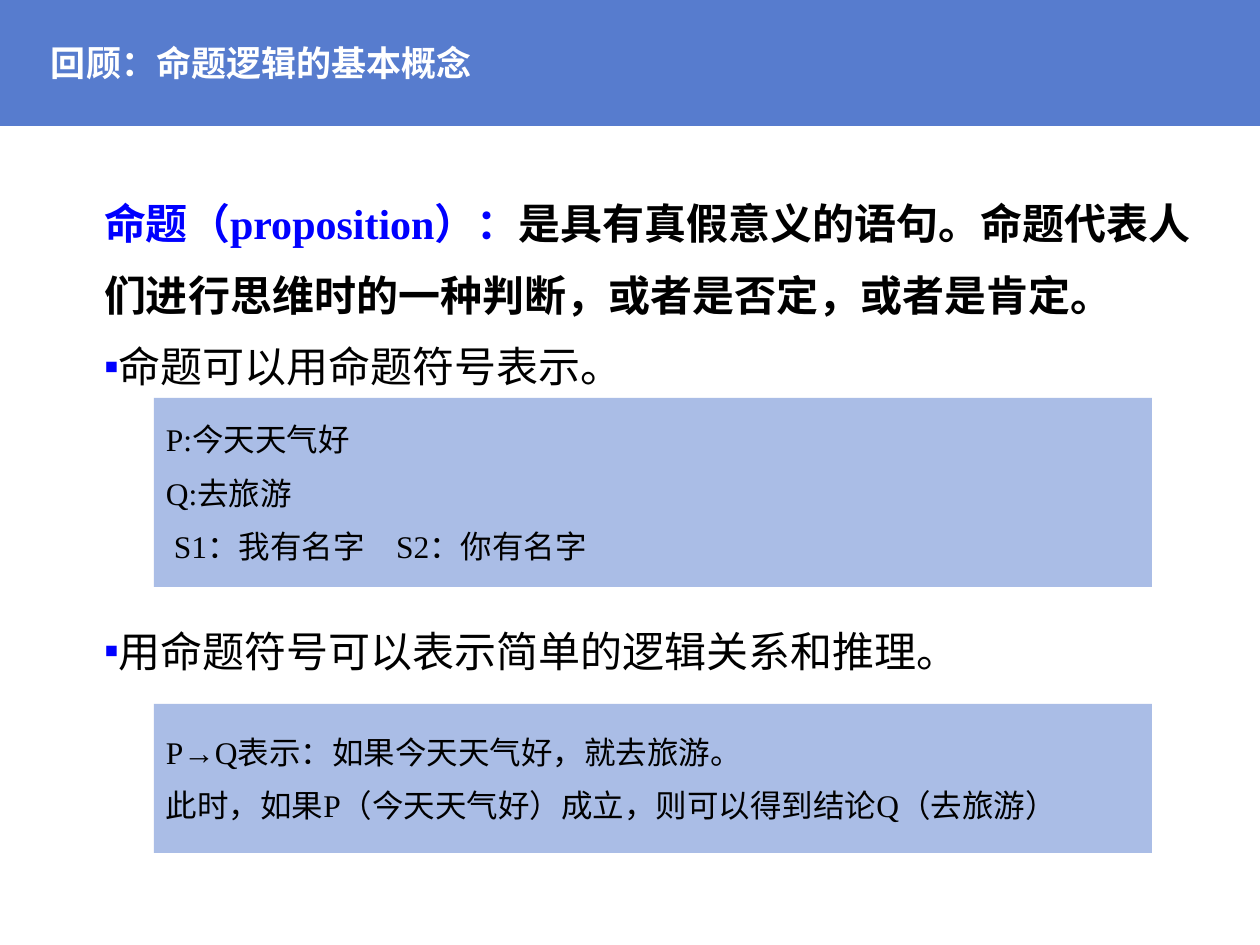
from lxml import etree
from pptx import Presentation, util as u
from pptx.dml.color import RGBColor
from pptx.enum import shapes, text
from pptx.oxml import ns

SANS, SERIF = "Noto Sans CJK SC", "Times New Roman"
BLUE, INK, KEY, WHITE = "577CCE", "000000", "0000FF", "FFFFFF"


def px(n):
    return u.Emu(round(n * 914400 / 126))


def color(code):
    return RGBColor.from_string(code)


def sub(node, tag, **attrs):
    return etree.SubElement(node, ns.qn(tag), attrs)


def rect(slide, box, alpha=None):
    shape = slide.shapes.add_shape(shapes.MSO_SHAPE.RECTANGLE, *map(px, box))
    shape.shadow.inherit = False
    shape.fill.solid()
    shape.fill.fore_color.rgb = color(BLUE)
    shape.line.fill.background()
    if alpha:
        tone = shape._element.spPr.find(".//" + ns.qn("a:srgbClr"))
        sub(tone, "a:alpha", val=str(alpha * 1000))
    return shape


def frame(shape, anchor, side=12):
    body = shape.text_frame
    body.word_wrap = True
    body.vertical_anchor = anchor
    body.margin_left = body.margin_right = px(side)
    body.margin_top = body.margin_bottom = px(6)
    return body


def write(body, runs, size=24, font=SERIF, bold=False, gap=0,
          bullet=None, indent=0):
    first = body.paragraphs[0]
    para = first if not first.runs else body.add_paragraph()
    para.alignment = text.PP_ALIGN.LEFT
    para.space_before = u.Pt(gap)
    props = para._p.get_or_add_pPr()
    props.set("marL", str(px(indent)))
    props.set("indent", "0")
    if bullet:
        sub(sub(props, "a:buClr"), "a:srgbClr", val=KEY)
        sub(props, "a:buFont", typeface=font)
        sub(props, "a:buChar", char=bullet)
    for words, tint in runs:
        run = para.add_run()
        run.text = words
        run.font.size = u.Pt(size)
        run.font.bold = bold
        run.font.name = font
        run.font.color.rgb = color(tint)
        sub(run._r.get_or_add_rPr(), "a:ea", typeface=SANS)


def header(slide, box, title):
    left, top, width, height = box
    rect(slide, box)
    area = left + 46, top + 23, width - 95, height - 47
    label = slide.shapes.add_textbox(*map(px, area))
    body = frame(label, text.MSO_ANCHOR.MIDDLE, side=5)
    write(body, [(title, WHITE)], size=20, font=SANS, bold=True)


def content(slide, box):
    label = slide.shapes.add_textbox(*map(px, box))
    body = frame(label, text.MSO_ANCHOR.TOP)
    write(body, [("命题（proposition）：", KEY),
                 ("是具有真假意义的语句。命题代表人", INK)], bold=True)
    write(body, [("们进行思维时的一种判断，或者是否定，或者是肯定。", INK)],
          bold=True, gap=12)
    for words, gap in (("命题可以用命题符号表示。", 12),
                       ("用命题符号可以表示简单的逻辑关系和推理。", 134)):
        write(body, [(words, INK)], gap=gap, bullet="▪")


def panel(slide, box, lines):
    body = frame(rect(slide, box, alpha=50), text.MSO_ANCHOR.MIDDLE)
    for row, (words, indent) in enumerate(lines):
        write(body, [(words, INK)], size=18, gap=9 if row else 0,
              indent=indent)


def main():
    deck = Presentation()
    deck.slide_width, deck.slide_height = px(1260), px(945)
    slide = deck.slides.add_slide(deck.slide_layouts[6])
    header(slide, (0, 0, 1260, 126), "回顾：命题逻辑的基本概念")
    content(slide, (92, 192, 1150, 510))
    panel(slide, (154, 398, 998, 189), [
        ("P:今天天气好", 0),
        ("Q:去旅游", 0),
        ("S1：我有名字　S2：你有名字", 8),
    ])
    panel(slide, (154, 704, 998, 149), [
        ("P→Q表示：如果今天天气好，就去旅游。", 0),
        ("此时，如果P（今天天气好）成立，则可以得到结论Q（去旅游）", 0),
    ])
    deck.save("out.pptx")


if __name__ == "__main__":
    main()
